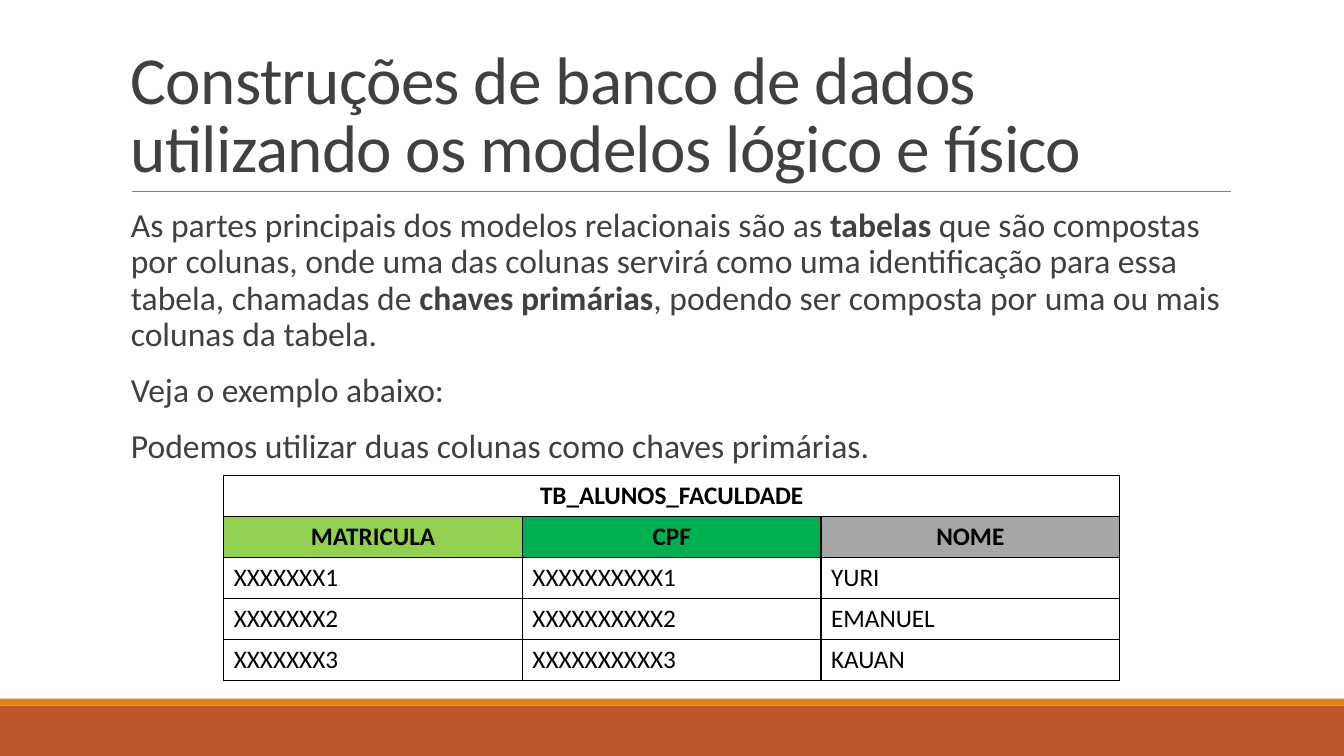
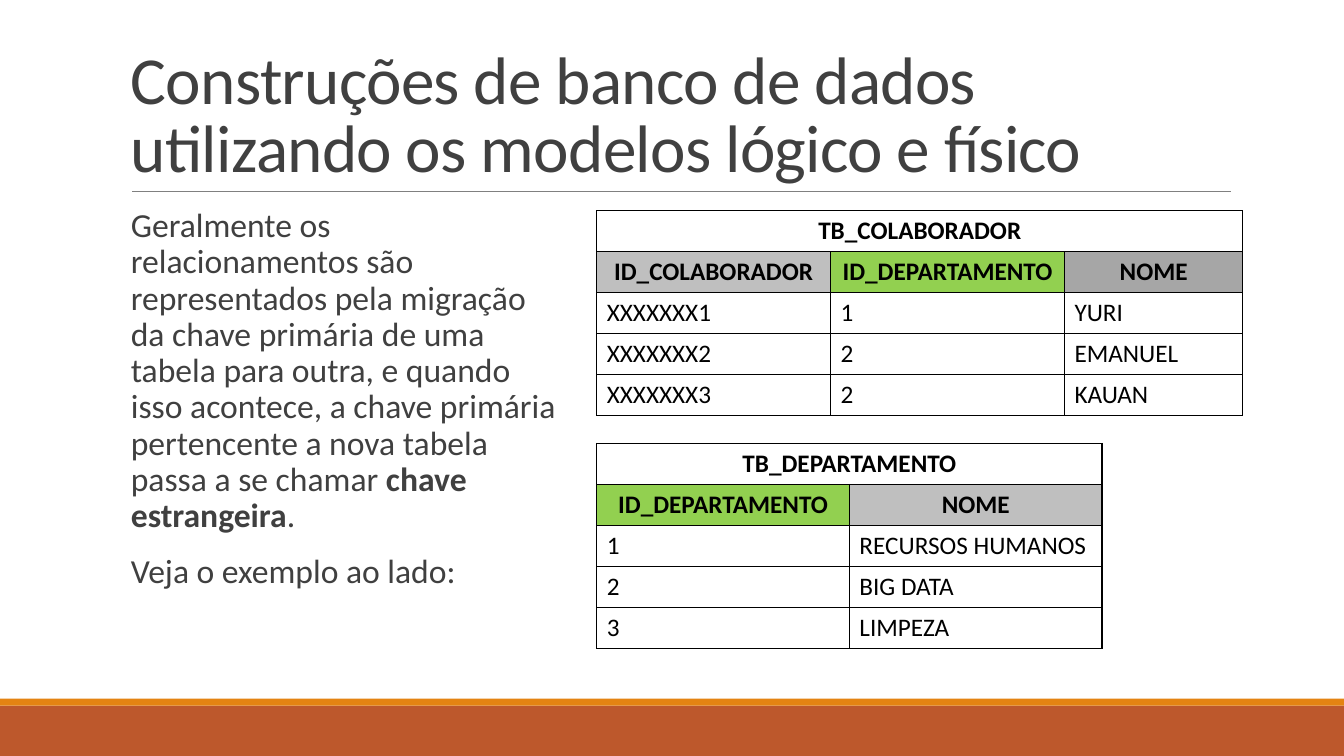
from lxml import etree
from pptx import Presentation
from pptx.dml.color import RGBColor
from pptx.enum.shapes import MSO_CONNECTOR, MSO_SHAPE
from pptx.enum.text import MSO_ANCHOR, PP_ALIGN
from pptx.oxml import parse_xml
from pptx.oxml.ns import nsdecls, qn
from pptx.util import Inches, Pt

LINE, RECT = MSO_CONNECTOR.STRAIGHT, MSO_SHAPE.RECTANGLE
TOP, BOTTOM = MSO_ANCHOR.TOP, MSO_ANCHOR.BOTTOM
LEFT, CENTER = PP_ALIGN.LEFT, PP_ALIGN.CENTER

WHITE = RGBColor(0xFF, 0xFF, 0xFF)
BLACK = RGBColor(0x00, 0x00, 0x00)
TEXT = RGBColor(0x40, 0x40, 0x40)
RULE = RGBColor(0x80, 0x80, 0x80)
RUST = RGBColor(0xBD, 0x58, 0x2C)
ORANGE = RGBColor(0xE4, 0x83, 0x12)
LIME = RGBColor(0x92, 0xD0, 0x50)
GREEN = RGBColor(0x00, 0xB0, 0x50)
GRAY = RGBColor(0xA6, 0xA6, 0xA6)
SILVER = RGBColor(0xBF, 0xBF, 0xBF)

TITLE = "Construções de banco de dados utilizando os modelos lógico e físico"


class Deck:
    """Shared style and current slide; lengths are percentages of the slide."""

    FONT = "Calibri"
    MARGIN = 9
    BODY_TOP = 26.93
    ROW = 5.42

    def __init__(self):
        self.prs = Presentation()
        self.prs.slide_width, self.prs.slide_height = Inches(13.33), Inches(7.5)
        self.s = None

    def x(self, share):
        return int(self.prs.slide_width * share / 100)

    def y(self, share):
        return int(self.prs.slide_height * share / 100)

    def box(self, left, top, width, height):
        return self.x(left), self.y(top), self.x(width), self.y(height)

    def style(self, p, size, color, bold=None):
        p.font.name, p.font.size, p.font.bold = self.FONT, Pt(size), bold
        p.font.color.rgb = color

    # Slide frame: bands, rule and title
    def new_slide(self, title):
        self.s = self.prs.slides.add_slide(self.prs.slide_layouts[6])
        self.band(93.33, 6.67, RUST)
        self.band(92.4, 0.93, ORANGE)
        self.rule(9.83, 91.6, 25.33)
        self.title(title)

    def band(self, top, height, color):
        sp = self.s.shapes.add_shape(RECT, *self.box(0, top, 100, height))
        sp.shadow.inherit = False
        sp.fill.solid()
        sp.fill.fore_color.rgb = color
        sp.line.fill.background()

    def rule(self, start, end, top):
        line = self.s.shapes.add_connector(
            LINE, self.x(start), self.y(top), self.x(end), self.y(top))
        line.line.color.rgb, line.line.width = RULE, Pt(0.5)
        etree.SubElement(line._element.spPr, qn("a:effectLst"))

    def text_frame(self, box, anchor):
        tf = self.s.shapes.add_textbox(*self.box(*box)).text_frame
        tf.word_wrap, tf.vertical_anchor = True, anchor
        return tf

    def title(self, text):
        p = self.text_frame((self.MARGIN, 4.13, 82.5, 21.2), BOTTOM).paragraphs[0]
        p.line_spacing = 0.85
        self.style(p, 48, TEXT)
        r = p.add_run()
        r.text = text
        r._r.get_or_add_rPr().set("spc", "-50")

    # Body text: each paragraph alternates plain and bold pieces
    def body(self, width, paragraphs):
        tf = self.text_frame((self.MARGIN, self.BODY_TOP, width, 58.67), TOP)
        tf.margin_right = 0
        for i, pieces in enumerate(paragraphs):
            p = tf.add_paragraph() if i else tf.paragraphs[0]
            p.line_spacing, p.space_after = 0.9, Pt(2)
            p.space_before = Pt(12 if i else 0)
            self.style(p, 24, TEXT)
            for j, piece in enumerate(pieces):
                r = p.add_run()
                r.text = piece
                if j % 2:
                    r.font.bold = True

    # Database table: name row, coloured column heads, data rows
    def table(self, left, top, widths, name, heads, rows):
        n = len(widths)
        lines = [[name] + [""] * (n - 1), [head for head, _ in heads], *rows]
        fills = [[WHITE] * n, [color for _, color in heads]]
        fills += [[WHITE] * n for _ in rows]
        tbl = self.s.shapes.add_table(
            len(lines), n,
            *self.box(left, top, sum(widths), self.ROW * len(lines))).table
        for column, width in zip(tbl.columns, widths):
            column.width = self.x(width)
        for i, line in enumerate(lines):
            tbl.rows[i].height = self.y(self.ROW)
            for j, text in enumerate(line):
                self.cell(tbl.cell(i, j), text, fills[i][j], i < 2)
        tbl.cell(0, 0).merge(tbl.cell(0, n - 1))

    def cell(self, cell, text, color, is_head):
        tcPr = cell._tc.get_or_add_tcPr()
        for side in "LRTB":
            tcPr.append(parse_xml(
                f'<a:ln{side} {nsdecls("a")} w="12700"><a:solidFill>'
                f'<a:srgbClr val="{BLACK}"/></a:solidFill></a:ln{side}>'))
        cell.fill.solid()
        cell.fill.fore_color.rgb = color
        p = cell.text_frame.paragraphs[0]
        p.text = text
        p.alignment = CENTER if is_head else LEFT
        self.style(p, 18, BLACK, is_head)


def main():
    deck = Deck()

    # Primary keys
    deck.new_slide(TITLE)
    deck.body(82.5, [
        ["As partes principais dos modelos relacionais são as ", "tabelas",
         " que são compostas por colunas, onde uma das colunas servirá como uma "
         "identificação para essa tabela, chamadas de ", "chaves primárias",
         ", podendo ser composta por uma ou mais colunas da tabela."],
        ["Veja o exemplo abaixo:"],
        ["Podemos utilizar duas colunas como chaves primárias."]])
    deck.table(
        16.65, 62.93, [22.22] * 3, "TB_ALUNOS_FACULDADE",
        [("MATRICULA", LIME), ("CPF", GREEN), ("NOME", GRAY)],
        [("XXXXXXX1", "XXXXXXXXXX1", "YURI"),
         ("XXXXXXX2", "XXXXXXXXXX2", "EMANUEL"),
         ("XXXXXXX3", "XXXXXXXXXX3", "KAUAN")])

    # Foreign keys
    deck.new_slide(TITLE)
    deck.body(33, [
        ["Geralmente os relacionamentos são representados pela migração da chave "
         "primária de uma tabela para outra, e quando isso acontece, a chave "
         "primária pertencente a nova tabela passa a se chamar ",
         "chave estrangeira", "."],
        ["Veja o exemplo ao lado:"]])
    deck.table(
        44.4, 27.87, [17.4, 17.4, 13.28], "TB_COLABORADOR",
        [("ID_COLABORADOR", SILVER), ("ID_DEPARTAMENTO", LIME), ("NOME", GRAY)],
        [("XXXXXXX1", "1", "YURI"),
         ("XXXXXXX2", "2", "EMANUEL"),
         ("XXXXXXX3", "2", "KAUAN")])
    deck.table(
        44.4, 58.67, [18.8] * 2, "TB_DEPARTAMENTO",
        [("ID_DEPARTAMENTO", LIME), ("NOME", SILVER)],
        [("1", "RECURSOS HUMANOS"), ("2", "BIG DATA"), ("3", "LIMPEZA")])

    deck.prs.save("out.pptx")


if __name__ == "__main__":
    main()
